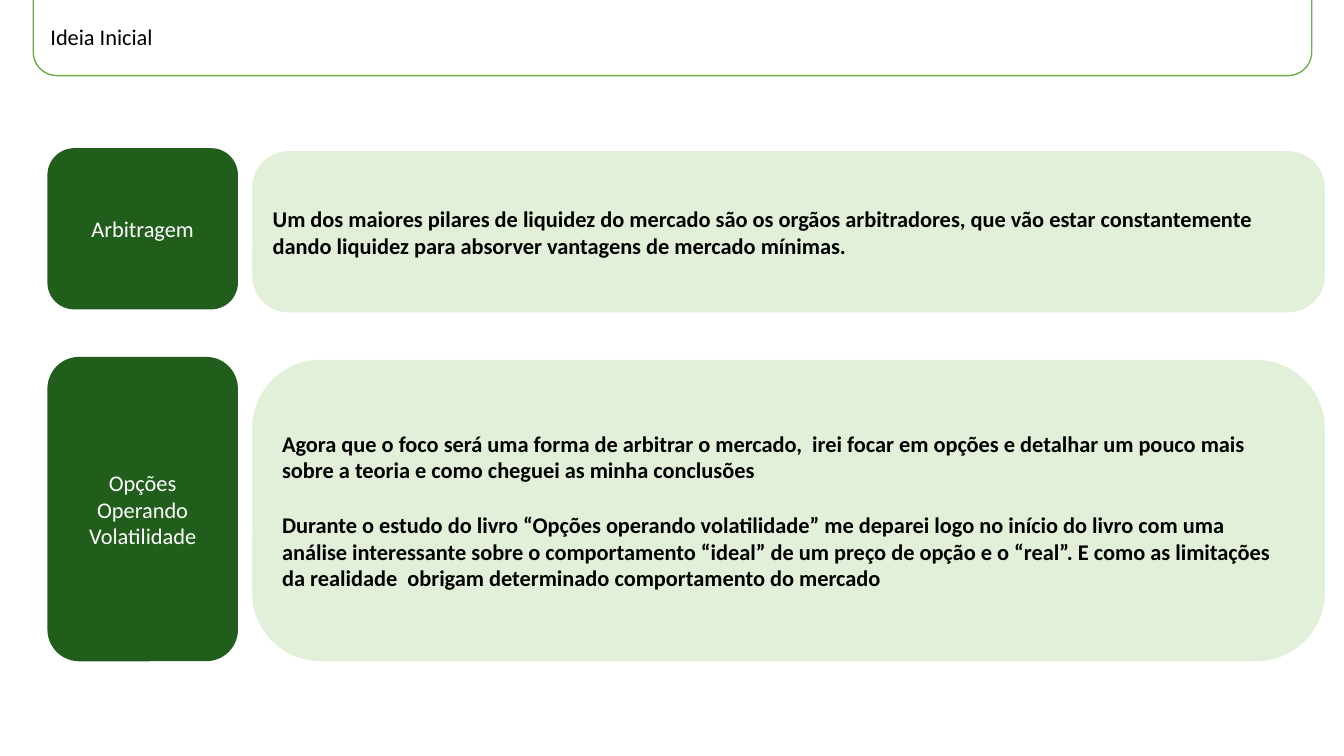
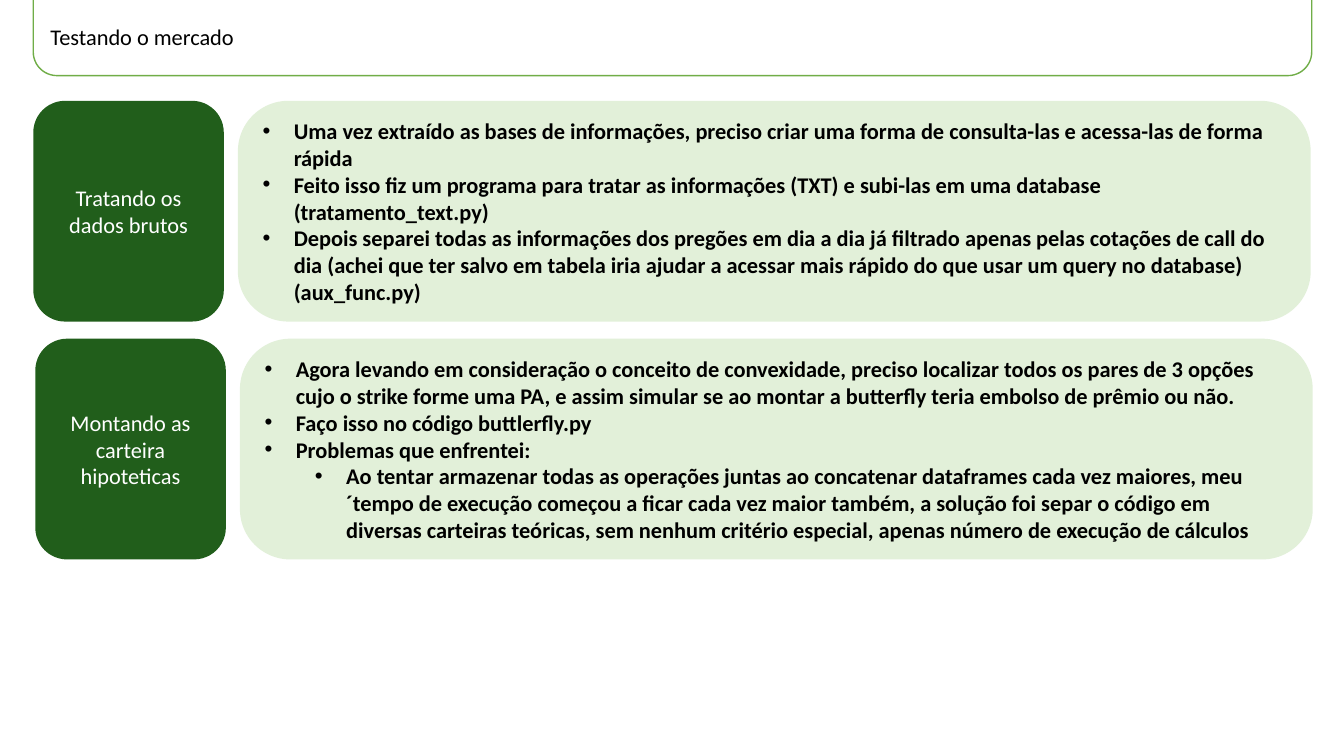
"""Build two slides on market arbitrage: a title band above rows of topic and explanation."""
from lxml import etree
from pptx import Presentation
from pptx.dml.color import RGBColor
from pptx.enum.shapes import MSO_SHAPE
from pptx.enum.text import MSO_ANCHOR, MSO_AUTO_SIZE, PP_ALIGN
from pptx.oxml.ns import qn
from pptx.util import Inches, Pt

ROUNDED = MSO_SHAPE.ROUNDED_RECTANGLE
MIDDLE = MSO_ANCHOR.MIDDLE
NO_AUTOFIT = MSO_AUTO_SIZE.NONE
LEFT, CENTER = PP_ALIGN.LEFT, PP_ALIGN.CENTER

FONT, SIZE = "Calibri", 16
DARK_GREEN, PALE_GREEN, BORDER_GREEN = "215E1B", "E2F0D9", "70AD47"
BLACK, WHITE = "000000", "FFFFFF"

BAND_BOX = (0.33, -0.66, 12.68, 1.41)
TITLE_BOX = (0.4, 0.1, 12.5, 0.52)
TOPIC_WIDTH, PANEL_WIDTH = 1.89, 10.64
PANEL_OFFSET = 2.03
PANEL_ROUNDING = 0.228
BULLET_INDENT, LEVEL_STEP = 0.31, 0.5
PARAGRAPH_GAP = 19.5

SLIDES = [
    {
        "title": "Ideia Inicial",
        "bulleted": False,
        "rows": [
            {
                "left": 0.47, "topic_span": (1.47, 1.6), "panel_span": (1.5, 1.6),
                "topic": ["Arbitragem"],
                "panel": [
                    (0, "Um dos maiores pilares de liquidez do mercado são os orgãos arbitradores, que vão estar constantemente dando liquidez para absorver vantagens de mercado mínimas."),
                ],
            },
            {
                "left": 0.47, "topic_span": (3.54, 3.02), "panel_span": (3.57, 2.99),
                "topic": ["Opções", "Operando", "Volatilidade"],
                "panel": [
                    (0, "Agora que o foco será uma forma de arbitrar o mercado,  irei focar em opções e detalhar um pouco mais sobre a teoria e como cheguei as minha conclusões"),
                    (0, "Durante o estudo do livro “Opções operando volatilidade” me deparei logo no início do livro com uma análise interessante sobre o comportamento “ideal” de um preço de opção e o “real”. E como as limitações da realidade  obrigam determinado comportamento do mercado"),
                ],
            },
        ],
    },
    {
        "title": "Testando o mercado",
        "bulleted": True,
        "rows": [
            {
                "left": 0.33, "topic_span": (1, 2.19), "panel_span": (1, 2.19),
                "topic": ["Tratando os dados brutos"],
                "panel": [
                    (0, "Uma vez extraído as bases de informações, preciso criar uma forma de consulta-las e acessa-las de forma rápida"),
                    (0, "Feito isso fiz um programa para tratar as informações (TXT) e subi-las em uma database (tratamento_text.py)"),
                    (0, "Depois separei todas as informações dos pregões em dia a dia já filtrado apenas pelas cotações de call do dia (achei que ter salvo em tabela iria ajudar a acessar mais rápido do que usar um query no database) (aux_func.py)"),
                ],
            },
            {
                "left": 0.35, "topic_span": (3.36, 2.19), "panel_span": (3.36, 2.19),
                "topic": ["Montando as carteira hipoteticas"],
                "panel": [
                    (0, "Agora levando em consideração o conceito de convexidade, preciso localizar todos os pares de 3 opções cujo o strike forme uma PA, e assim simular se ao montar a butterfly teria embolso de prêmio ou não."),
                    (0, "Faço isso no código buttlerfly.py"),
                    (0, "Problemas que enfrentei:"),
                    (1, "Ao tentar armazenar todas as operações juntas ao concatenar dataframes cada vez maiores, meu´tempo de execução começou a ficar cada vez maior também, a solução foi separ o código em diversas carteiras teóricas, sem nenhum critério especial, apenas número de execução de cálculos"),
                ],
            },
        ],
    },
]


def color(hex_text):
    return RGBColor.from_string(hex_text)


def style_paragraph(paragraph, font_color, bold=False, alignment=LEFT):
    paragraph.alignment = alignment
    font = paragraph.font
    font.name, font.size, font.bold = FONT, Pt(SIZE), bold
    font.color.rgb = color(font_color)


def add_bullet(paragraph, level):
    paragraph.level = level
    properties = paragraph._p.get_or_add_pPr()
    properties.set("marL", str(Inches(BULLET_INDENT + level * LEVEL_STEP)))
    properties.set("indent", str(-Inches(BULLET_INDENT)))
    bullet_font = etree.Element(qn("a:buFont"), typeface="Arial")
    bullet = etree.Element(qn("a:buChar"), char="•")
    properties.insert_element_before(bullet_font, "a:buChar", "a:tabLst", "a:defRPr", "a:extLst")
    properties.insert_element_before(bullet, "a:tabLst", "a:defRPr", "a:extLst")


def add_rounded_box(slide, box, fill=None, line=None):
    shape = slide.shapes.add_shape(ROUNDED, *map(Inches, box))
    shape.shadow.inherit = False
    if fill:
        shape.fill.solid()
        shape.fill.fore_color.rgb = color(fill)
    else:
        shape.fill.background()
    if line:
        shape.line.color.rgb = color(line)
        shape.line.width = Pt(1)
    else:
        shape.line.fill.background()
    return shape


def write_paragraphs(shape, texts, **style):
    frame = shape.text_frame
    frame.word_wrap = True
    frame.vertical_anchor = MIDDLE
    frame.text = "\n".join(texts)
    for paragraph in frame.paragraphs:
        style_paragraph(paragraph, **style)
    return frame.paragraphs


def add_title(slide, text):
    add_rounded_box(slide, BAND_BOX, line=BORDER_GREEN)
    title = slide.shapes.title
    title.left, title.top, title.width, title.height = map(Inches, TITLE_BOX)
    write_paragraphs(title, [text], font_color=BLACK)
    title.text_frame.auto_size = NO_AUTOFIT


def add_row(slide, row, bulleted):
    left = row["left"]
    topic_top, topic_height = row["topic_span"]
    topic = add_rounded_box(slide, (left, topic_top, TOPIC_WIDTH, topic_height), DARK_GREEN)
    write_paragraphs(topic, row["topic"], font_color=WHITE, alignment=CENTER)

    panel_top, panel_height = row["panel_span"]
    panel_box = (left + PANEL_OFFSET, panel_top, PANEL_WIDTH, panel_height)
    panel = add_rounded_box(slide, panel_box, PALE_GREEN)
    panel.adjustments[0] = PANEL_ROUNDING
    levels, texts = zip(*row["panel"])
    paragraphs = write_paragraphs(panel, texts, font_color=BLACK, bold=True)
    if bulleted:
        for paragraph, level in zip(paragraphs, levels):
            add_bullet(paragraph, level)
    else:
        for paragraph in paragraphs[1:]:
            paragraph.space_before = Pt(PARAGRAPH_GAP)


def main():
    presentation = Presentation()
    presentation.slide_width = Inches(13.33)
    presentation.slide_height = Inches(7.5)
    title_only = presentation.slide_layouts[5]
    for content in SLIDES:
        slide = presentation.slides.add_slide(title_only)
        add_title(slide, content["title"])
        for row in content["rows"]:
            add_row(slide, row, content["bulleted"])
    presentation.save("out.pptx")


if __name__ == "__main__":
    main()
